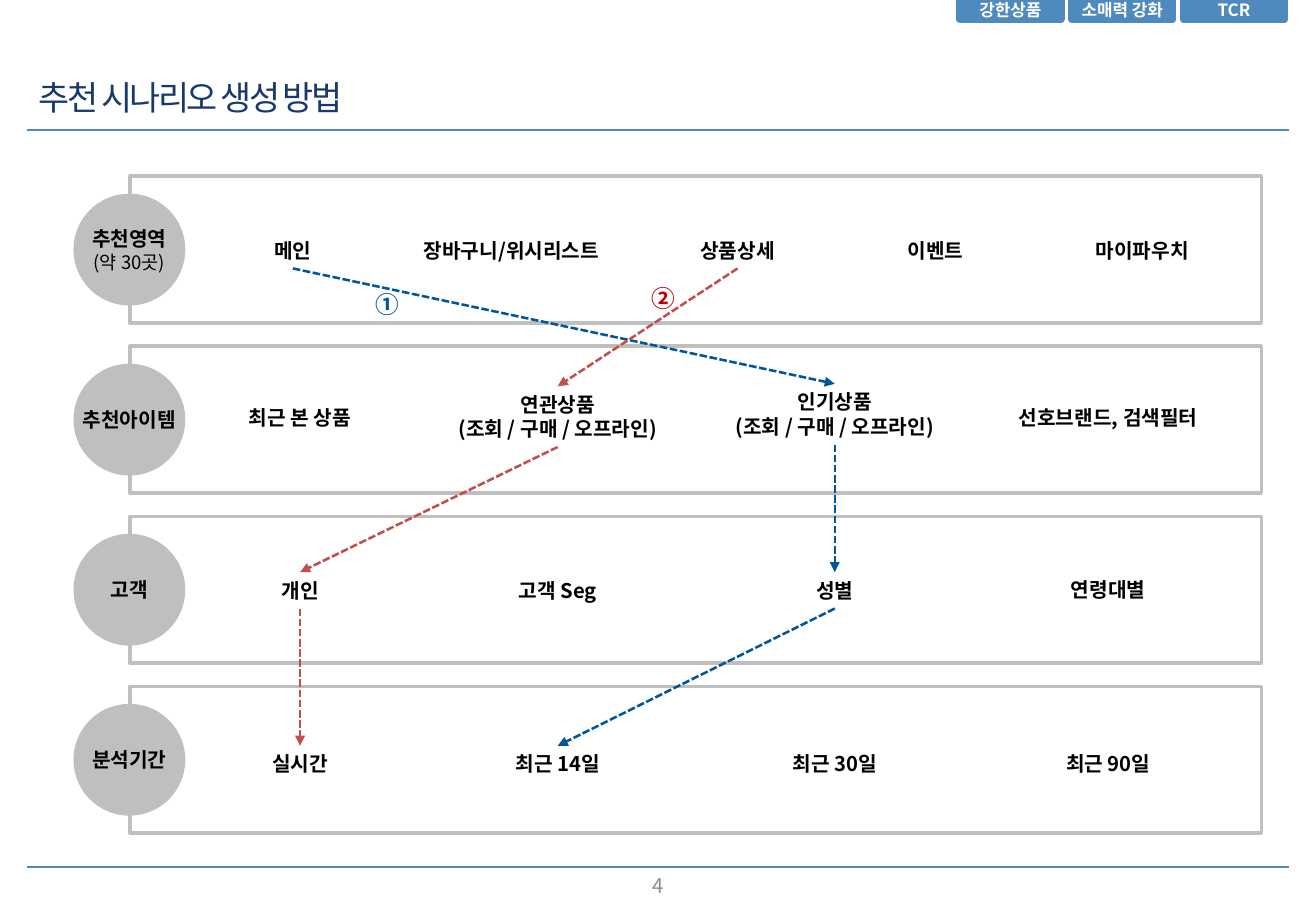
from dataclasses import dataclass
from itertools import pairwise

from lxml.etree import SubElement
from pptx import Presentation
from pptx.dml.color import RGBColor
from pptx.enum.dml import MSO_LINE
from pptx.enum.shapes import MSO_CONNECTOR, MSO_SHAPE
from pptx.enum.text import MSO_ANCHOR, PP_ALIGN
from pptx.oxml.ns import qn
from pptx.util import Inches, Pt


@dataclass(frozen=True)
class Theme:
    """Colours, font and type sizes of the deck."""
    font: str = "Noto Sans CJK KR"
    accent: str = "4F8ABE"
    title: str = "19396B"
    gray: str = "BFBFBF"
    number: str = "8C8C8C"
    text: str = "000000"
    white: str = "FFFFFF"
    first_route: str = "005699"
    second_route: str = "C0504D"
    second_mark: str = "C00000"
    title_size: int = 20
    mark_size: int = 14
    body_size: int = 12
    note_size: int = 11
    tab_size: int = 10


class Page:
    """One slide with a method for each kind of element."""

    def __init__(self, deck, theme):
        """Add a title-only slide."""
        self.slide = deck.slides.add_slide(deck.slide_layouts[5])
        self.theme = theme

    def fill_text(self, box, lines, align=PP_ALIGN.CENTER, margin=None, wrap=True,
                  anchor=MSO_ANCHOR.TOP):
        """Fill a shape with lines of (text, size, colour, bold)."""
        frame = box.text_frame
        values = {"word_wrap": wrap, "vertical_anchor": anchor}
        if margin is not None:
            sides = ("left", "top", "right", "bottom")
            values |= {f"margin_{side}": Inches(margin) for side in sides}
        for name, value in values.items():
            setattr(frame, name, value)
        for index, (text, size, color, bold) in enumerate(lines):
            para = frame.add_paragraph() if index else frame.paragraphs[0]
            para.alignment = align
            span = para.add_run()
            span.text = text
            span.font.color.rgb = RGBColor.from_string(color)
            style = {"name": self.theme.font, "size": Pt(size), "bold": bold}
            for name, value in style.items():
                setattr(span.font, name, value)
            east_asian = SubElement(span._r.get_or_add_rPr(), qn("a:ea"))
            east_asian.set("typeface", self.theme.font)

    def title(self, text, left, top, width, height):
        """Place and format the title."""
        box = self.slide.shapes.title
        place = {"left": left, "top": top, "width": width, "height": height}
        for name, value in place.items():
            setattr(box, name, Inches(value))
        line = (text, self.theme.title_size, self.theme.title, False)
        self.fill_text(box, [line], PP_ALIGN.LEFT, anchor=MSO_ANCHOR.MIDDLE)
        span = box.text_frame.paragraphs[0].runs[0]
        span._r.get_or_add_rPr().set("spc", "-150")

    def text(self, lines, left, top, width, height, align=PP_ALIGN.CENTER):
        """Add a text box."""
        place = map(Inches, (left, top, width, height))
        self.fill_text(self.slide.shapes.add_textbox(*place), lines, align)

    def shape(self, kind, place, line, weight, fill=None, lines=()):
        """Add a preset shape with centred text."""
        box = self.slide.shapes.add_shape(kind, *map(Inches, place))
        box.shadow.inherit = False
        if fill:
            box.fill.solid()
            box.fill.fore_color.rgb = RGBColor.from_string(fill)
        else:
            box.fill.background()
        box.line.color.rgb = RGBColor.from_string(line)
        box.line.width = Pt(weight)
        if lines:
            self.fill_text(box, lines, margin=0, wrap=False, anchor=MSO_ANCHOR.MIDDLE)

    def line(self, start, end, color, weight, arrow=False):
        """Add a plain rule or a dashed arrow."""
        ends = map(Inches, (*start, *end))
        link = self.slide.shapes.add_connector(MSO_CONNECTOR.STRAIGHT, *ends)
        link.line.color.rgb = RGBColor.from_string(color)
        link.line.width = Pt(weight)
        if arrow:
            link.line.dash_style = MSO_LINE.SQUARE_DOT
            outline = link._element.spPr.find(qn("a:ln"))
            SubElement(outline, qn("a:tailEnd")).set("type", "triangle")
        SubElement(link._element.spPr, qn("a:effectLst"))


TABS = ("강한상품", "소매력 강화", "TCR")
DETAIL = "(조회 / 구매 / 오프라인)"
ROWS = (
    (("추천영역", "(약 30곳)"), (
        (("메인",), 2.41, 1.91, 1.56),
        (("장바구니/위시리스트",), 4.21, 1.91, 1.96),
        (("상품상세",), 6.07, 1.91, 1.56),
        (("이벤트",), 7.7, 1.91, 1.56),
        (("마이파우치",), 9.4, 1.91, 1.71))),
    (("추천아이템",), (
        (("최근 본 상품",), 2.47, 3.29, 1.56),
        (("연관상품", DETAIL), 4.59, 3.18, 1.96),
        (("인기상품", DETAIL), 6.87, 3.16, 1.96),
        (("선호브랜드, 검색필터",), 9.12, 3.29, 1.88))),
    (("고객",), (
        (("개인",), 2.47, 4.71, 1.56),
        (("고객 Seg",), 4.59, 4.71, 1.96),
        (("성별",), 6.87, 4.71, 1.71),
        (("연령대별",), 9.12, 4.7, 1.71))),
    (("분석기간",), (
        (("실시간",), 2.47, 6.14, 1.71),
        (("최근 14일",), 4.59, 6.14, 1.96),
        (("최근 30일",), 6.87, 6.14, 1.71),
        (("최근 90일",), 9.12, 6.14, 1.71))),
)
FIRST_ROUTE = ((0, 0), (1, 2), (2, 2), (3, 1))
SECOND_ROUTE = ((0, 2), (1, 1), (2, 0), (3, 0))


def label_height(lines):
    """Return the height of a label in inches."""
    return 0.1 + 0.2 * len(lines)


def main():
    """Build the slide and save it."""
    theme = Theme()
    deck = Presentation()
    deck.slide_width, deck.slide_height = Inches(10.83), Inches(7.5)
    page = Page(deck, theme)
    page.title("추천 시나리오 생성 방법", 0.22, 0.52, 8.27, 0.56)
    for top in (1.07, 7.14):
        page.line((0.22, top), (10.61, top), theme.accent, 1)
    for index, name in enumerate(TABS):
        page.shape(MSO_SHAPE.RECTANGLE, (7.9 + 0.92 * index, 0, 0.83, 0.16),
                   theme.accent, 4.5, theme.accent,
                   [(name, theme.tab_size, theme.white, True)])

    for index, (heading, labels) in enumerate(ROWS):
        top = 1.45 + 1.4 * index
        page.shape(MSO_SHAPE.RECTANGLE, (1.07, top, 9.31, 1.21), theme.gray, 2)
        styles = ((theme.body_size, theme.text, True),
                  (theme.note_size, theme.text, False))
        page.shape(MSO_SHAPE.OVAL, (0.61, top + 0.15, 0.91, 0.91),
                   theme.gray, 0.75, theme.gray,
                   [(text, *style) for text, style in zip(heading, styles)])
        for lines, center, label_top, width in labels:
            page.text([(text, theme.body_size, theme.text, True) for text in lines],
                      center - width / 2, label_top, width, label_height(lines))

    for route, color in ((FIRST_ROUTE, theme.first_route),
                         (SECOND_ROUTE, theme.second_route)):
        stops = [ROWS[row][1][column] for row, column in route]
        for (lines, start, top, _), (_, end, end_top, _) in pairwise(stops):
            page.line((start, top + label_height(lines)), (end, end_top),
                      color, 1.5, arrow=True)

    for mark, color, left, top in (("①", theme.first_route, 2.99, 2.34),
                                   ("②", theme.second_mark, 5.26, 2.29)):
        page.text([(mark, theme.mark_size, color, True)],
                  left, top, 0.39, 0.34, PP_ALIGN.LEFT)
    page.text([("4", theme.body_size, theme.number, False)], 5.08, 7.14, 0.68, 0.21)
    deck.save("out.pptx")


if __name__ == "__main__":
    main()
